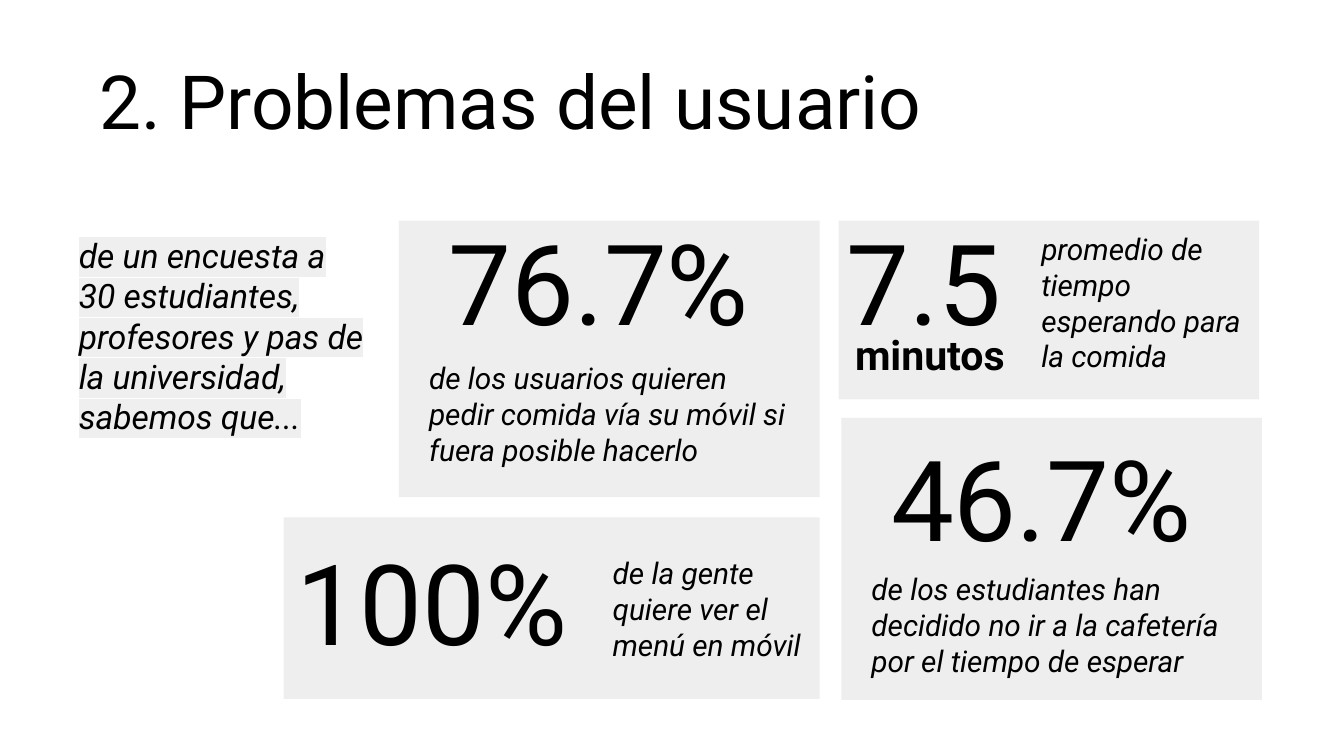
from lxml.etree import SubElement
from pptx import Presentation
from pptx.dml.color import RGBColor
from pptx.enum.shapes import MSO_SHAPE
from pptx.enum.text import MSO_ANCHOR, PP_ALIGN
from pptx.oxml.ns import qn
from pptx.util import Cm, Pt

THEME = {
    "font": "Roboto",
    "text": "000000",
    "background": "FFFFFF",
    "card": "EEEEEE",
    "highlight": "EFEFEF",
    "inset": 0.25,
    "styles": {
        "title": {"size": 40},
        "intro": {"size": 18, "italic": True, "highlight": "EFEFEF"},
        "number": {"size": 60},
        "unit": {"size": 22, "bold": True, "align": PP_ALIGN.CENTER},
        "caption": {"size": 16, "italic": True},
    },
}

# Content: boxes are left, top, width, height in centimetres
TEXTS = [
    ("title", "2. Problemas del usuario", (1.63, 0.79, 21.03, 2.49)),
    ("intro", "de un encuesta a 30 estudiantes, profesores y pas de la "
              "universidad, sabemos que...", (1.24, 4.19, 5.89, 3.53)),
]

# Text boxes inside a card are placed from the card's top left corner
CARDS = [
    {"box": (15.85, 4.17, 7.95, 3.38), "texts": [
        ("number", "7.5", (-0.1, -0.39, 4.34, 2.49)),
        ("caption", "promedio de tiempo esperando para la comida",
         (3.58, -0.06, 4.6, 3.02)),
        ("unit", "minutos", (-0.13, 1.8, 3.71, 1.19)),
    ]},
    {"box": (15.9, 7.9, 7.95, 5.33), "texts": [
        ("number", "46.7%", (0.69, -0.03, 6.91, 3.96)),
        ("caption", "de los estudiantes han decidido no ir a la cafetería "
                    "por el tiempo de esperar", (0.32, 2.64, 7.26, 2.49)),
    ]},
    {"box": (7.54, 4.17, 7.95, 5.23), "texts": [
        ("number", "76.7%", (0.69, -0.39, 6.91, 2.67)),
        ("caption", "de los usuarios quieren pedir comida vía su móvil si "
                    "fuera posible hacerlo", (0.32, 2.38, 7.26, 2.46)),
    ]},
    {"box": (5.36, 9.78, 10.13, 3.43), "texts": [
        ("number", "100%", (0, 0.05, 6.27, 2.54)),
        ("caption", "de la gente quiere ver el menú en móvil",
         (5.97, 0.46, 4.6, 3.02)),
    ]},
]


def add_text(shapes, text, *, box, size, bold=False, italic=False,
             align=PP_ALIGN.LEFT, highlight=None):
    shape = shapes.add_textbox(*map(Cm, box))
    frame = shape.text_frame
    frame.word_wrap = True
    frame.vertical_anchor = MSO_ANCHOR.TOP
    frame.margin_left = frame.margin_right = Cm(THEME["inset"])
    frame.margin_top = frame.margin_bottom = Cm(THEME["inset"])
    paragraph = frame.paragraphs[0]
    paragraph.alignment = align
    run = paragraph.add_run()
    run.text = text
    font = run.font
    font.name, font.size = THEME["font"], Pt(size)
    font.bold, font.italic = bold, italic
    font.color.rgb = RGBColor.from_string(THEME["text"])
    if highlight:
        # The highlight belongs between the fill and the typeface
        properties = run._r.get_or_add_rPr()
        mark = SubElement(properties, qn("a:highlight"))
        SubElement(mark, qn("a:srgbClr"), val=highlight)
        properties.find(qn("a:latin")).addprevious(mark)


def add_card(slide, card):
    group = slide.shapes.add_group_shape()
    left, top = card["box"][:2]
    panel = group.shapes.add_shape(MSO_SHAPE.RECTANGLE, *map(Cm, card["box"]))
    panel.shadow.inherit = False
    panel.fill.solid()
    panel.fill.fore_color.rgb = RGBColor.from_string(THEME["card"])
    panel.line.fill.background()
    for style, text, (x, y, width, height) in card["texts"]:
        add_text(group.shapes, text, box=(left + x, top + y, width, height),
                 **THEME["styles"][style])


def main():
    presentation = Presentation()
    presentation.slide_width, presentation.slide_height = Cm(25.4), Cm(14.29)
    slide = presentation.slides.add_slide(presentation.slide_layouts[6])
    slide.background.fill.solid()
    slide.background.fill.fore_color.rgb = RGBColor.from_string(THEME["background"])

    # Title and introduction
    for style, text, box in TEXTS:
        add_text(slide.shapes, text, box=box, **THEME["styles"][style])

    # Survey results
    for card in CARDS:
        add_card(slide, card)

    presentation.save("out.pptx")


if __name__ == "__main__":
    main()
